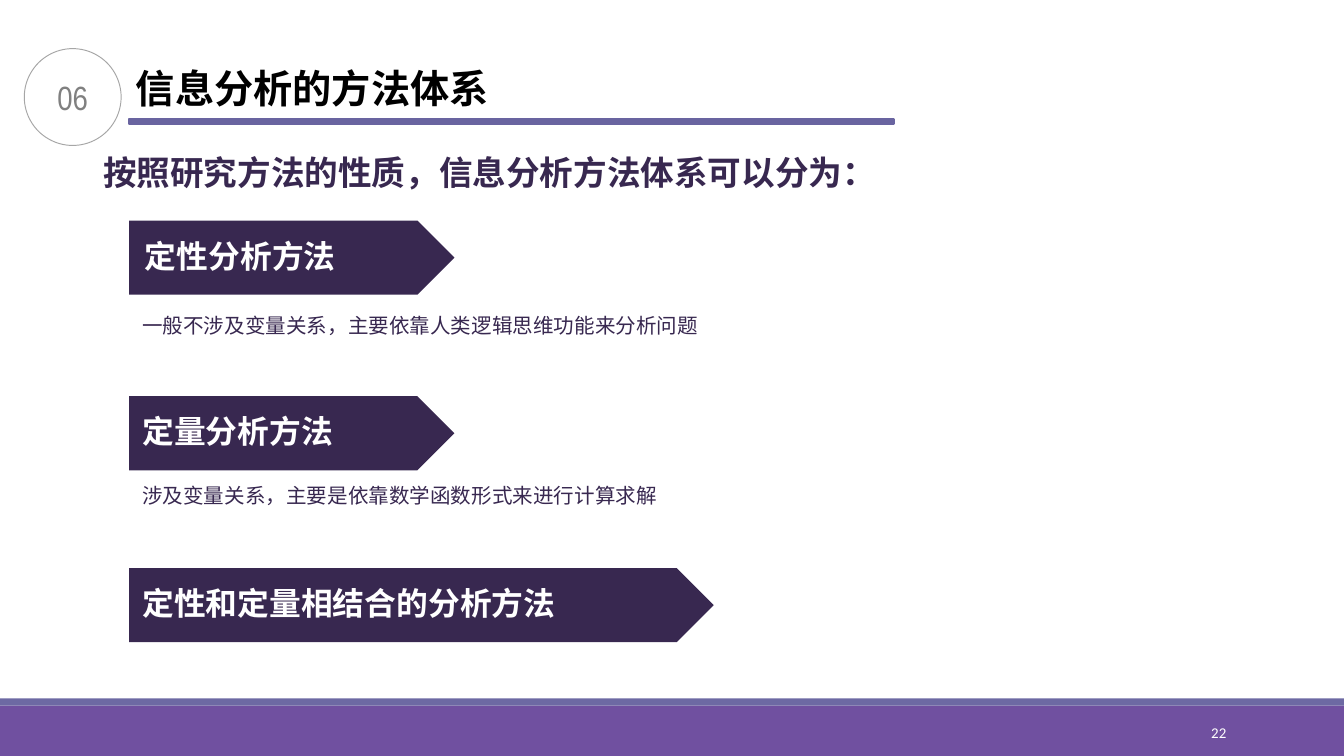
from lxml import etree
from pptx import Presentation
from pptx.dml.color import RGBColor
from pptx.enum.shapes import MSO_SHAPE
from pptx.enum.text import MSO_ANCHOR, MSO_AUTO_SIZE, PP_ALIGN
from pptx.oxml.ns import qn
from pptx.util import Cm, Pt

SECTION = "06"
TITLE = "信息分析的方法体系"
INTRO = "按照研究方法的性质，信息分析方法体系可以分为："
PAGE = "22"
METHODS = [
    {"name": "定性分析方法", "top": 4.17, "width": 6.15, "label_left": 2.49,
     "detail": "一般不涉及变量关系，主要依靠人类逻辑思维功能来分析问题", "detail_top": 5.56},
    {"name": "定量分析方法", "top": 7.49, "width": 6.15, "label_left": 2.44,
     "detail": "涉及变量关系，主要是依靠数学函数形式来进行计算求解", "detail_top": 8.76},
    {"name": "定性和定量相结合的分析方法", "top": 10.74, "width": 11.05, "label_left": 2.44},
]

THEME = {
    "cjk": "Noto Sans CJK SC", "number": "Arial Narrow", "page": "Calibri",
    "dark": "382850", "rule": "6964A0", "band": "7050A0", "stripe": "6D69A3",
    "ring": "A6A6A6", "grey": "808080", "black": "000000", "white": "FFFFFF",
    "title_size": 21, "intro_size": 18, "label_size": 17, "detail_size": 11, "page_size": 8,
}
WIDTH, HEIGHT = 25.4, 14.29
LEFT = 2.44
ARROW_HEIGHT = 1.4
TIGHT = (0.18, 0.1)
NORMAL = (0.25, 0.13)


def color(key):
    return RGBColor.from_string(THEME[key])


def place(shape, left, top, width, height):
    shape.left, shape.top, shape.width, shape.height = map(Cm, (left, top, width, height))


def write(shape, text, size, ink, font="cjk", bold=False, align=PP_ALIGN.LEFT,
          anchor=MSO_ANCHOR.TOP, insets=NORMAL, wrap=True, spacing=None):
    frame = shape.text_frame
    frame.text = text
    frame.word_wrap = wrap
    frame.auto_size = MSO_AUTO_SIZE.NONE
    frame.vertical_anchor = anchor
    frame.margin_left = frame.margin_right = Cm(insets[0])
    frame.margin_top = frame.margin_bottom = Cm(insets[1])
    paragraph = frame.paragraphs[0]
    paragraph.alignment = align
    if spacing:
        paragraph.line_spacing = spacing
    run = paragraph.runs[0]
    run.font.size = Pt(THEME[size])
    run.font.bold = bold
    run.font.color.rgb = color(ink)
    run.font.name = THEME[font]
    east_asian = etree.SubElement(run.font._element, qn("a:ea"))
    east_asian.set("typeface", THEME[font])


def add_block(slide, kind, box, fill=None, line=None, line_width=0.5):
    block = slide.shapes.add_shape(kind, *map(Cm, box))
    block.shadow.inherit = False
    if fill:
        block.fill.solid()
        block.fill.fore_color.rgb = color(fill)
    else:
        block.fill.background()
    if line:
        block.line.color.rgb = color(line)
        block.line.width = Pt(line_width)
    else:
        block.line.fill.background()
    return block


def add_text(slide, box, *content, **style):
    write(slide.shapes.add_textbox(*map(Cm, box)), *content, **style)


def add_frame(slide):
    add_block(slide, MSO_SHAPE.RECTANGLE, (0, 13.34, WIDTH, HEIGHT - 13.34), "band")
    add_block(slide, MSO_SHAPE.RECTANGLE, (0, 13.2, WIDTH, 0.14), "stripe")
    add_text(slide, (20.62, 13.46, 2.74, 0.76), PAGE, "page_size", "white", font="page",
             align=PP_ALIGN.RIGHT, anchor=MSO_ANCHOR.MIDDLE, insets=TIGHT)


def add_header(slide):
    ring = add_block(slide, MSO_SHAPE.OVAL, (0.46, 0.92, 1.83, 1.83), line="ring")
    write(ring, SECTION, "intro_size", "grey", font="number", align=PP_ALIGN.CENTER,
          anchor=MSO_ANCHOR.MIDDLE, insets=TIGHT)
    title = slide.shapes.title
    place(title, 2.39, 1.12, 7.16, 1.09)
    write(title, TITLE, "title_size", "black", bold=True, insets=TIGHT, wrap=False)
    add_block(slide, MSO_SHAPE.RECTANGLE, (LEFT, 2.25, 14.45, 0.1), "rule", "rule", 1.25)
    add_text(slide, (1.7, 2.74, 16.59, 1.02), INTRO, "intro_size", "dark", bold=True)


def add_method(slide, method):
    top = method["top"]
    add_block(slide, MSO_SHAPE.PENTAGON, (LEFT, top, method["width"], ARROW_HEIGHT), "dark")
    add_text(slide, (method["label_left"], top + 0.17, method["width"] - 0.55, 0.99),
             method["name"], "label_size", "white", bold=True)
    if "detail" in method:
        add_text(slide, (LEFT, method["detail_top"], 16, 0.89),
                 method["detail"], "detail_size", "dark", spacing=1.5)


def main():
    deck = Presentation()
    deck.slide_width, deck.slide_height = Cm(WIDTH), Cm(HEIGHT)
    slide = deck.slides.add_slide(deck.slide_layouts[5])
    add_frame(slide)
    add_header(slide)
    for method in METHODS:
        add_method(slide, method)
    deck.save("out.pptx")


if __name__ == "__main__":
    main()
